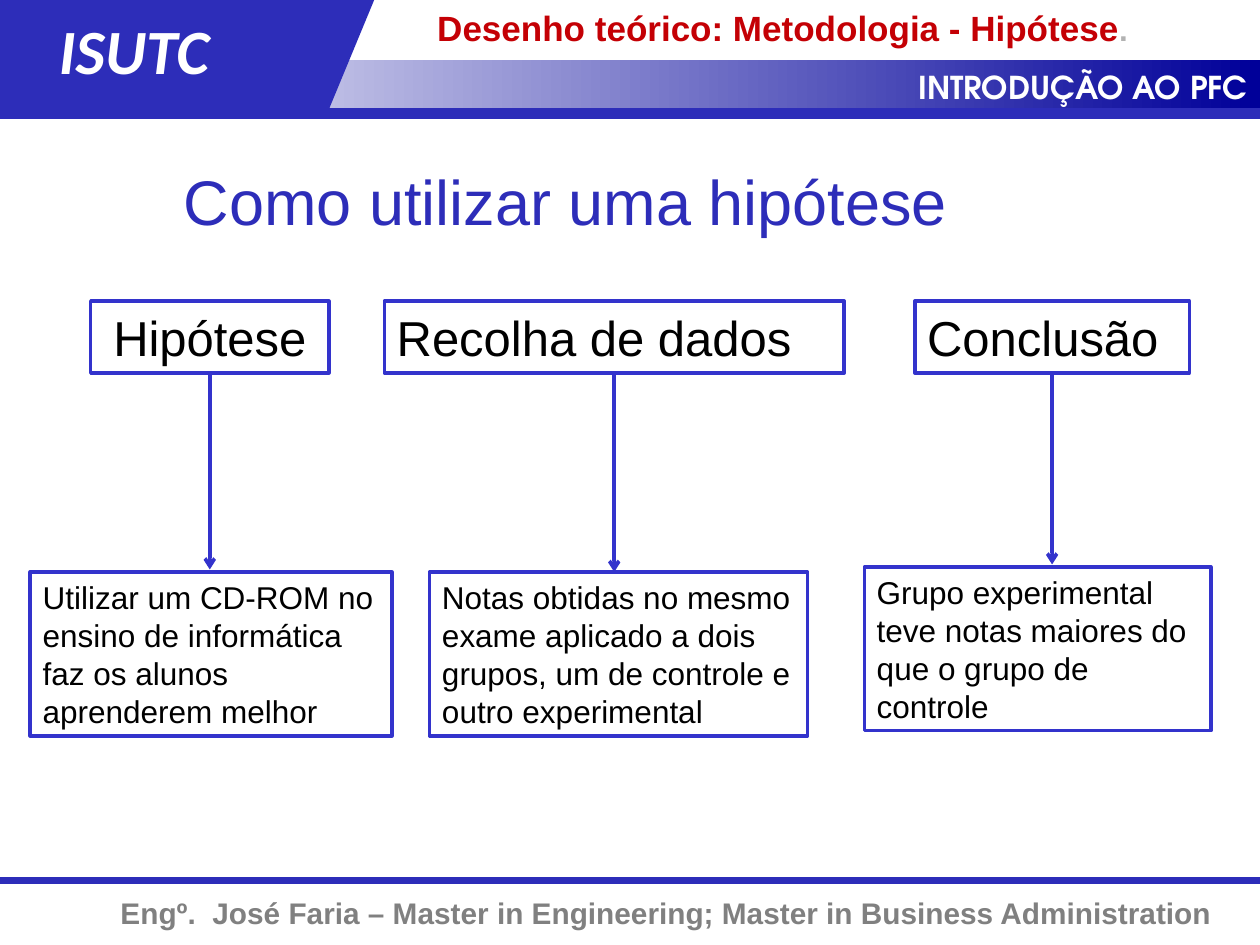
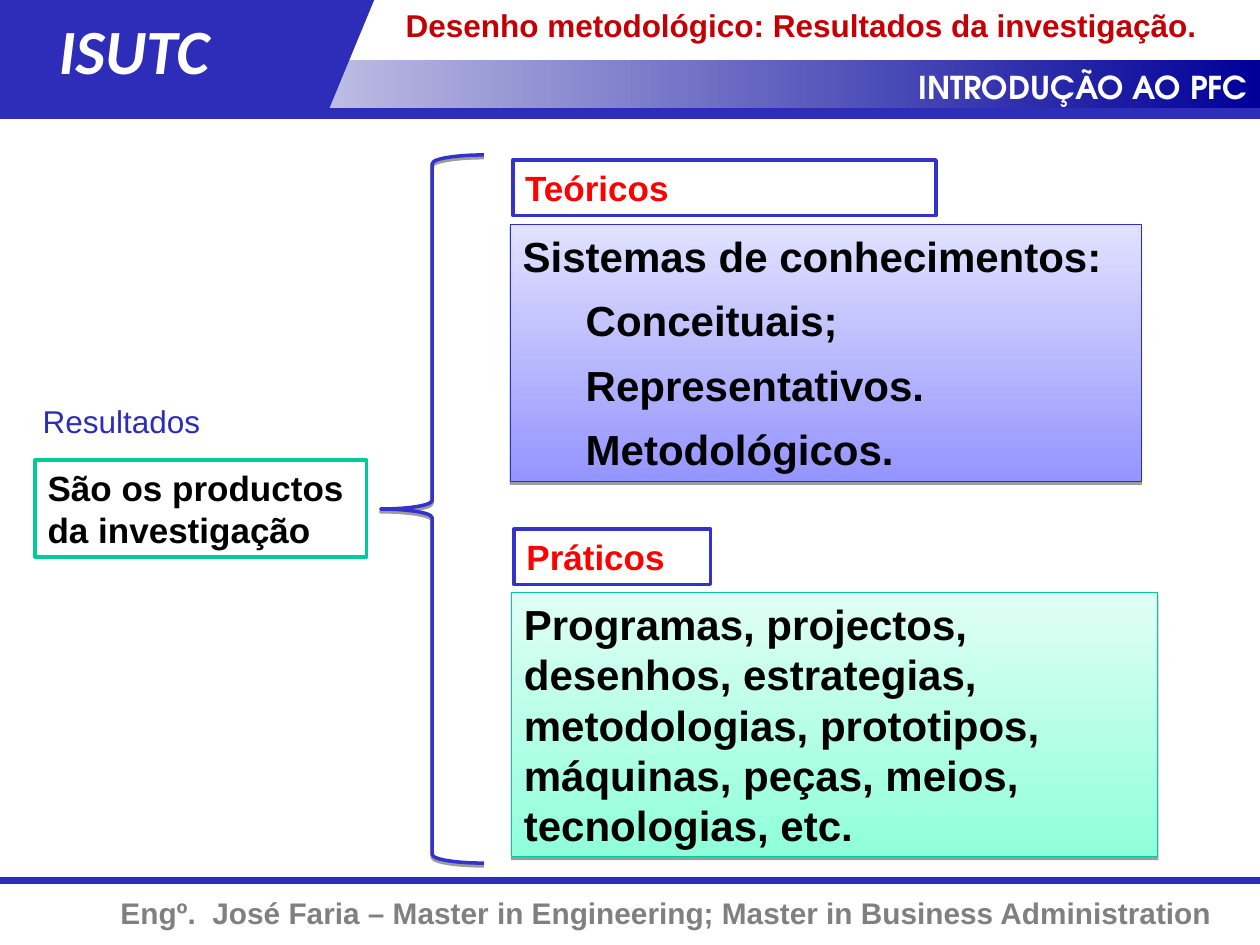
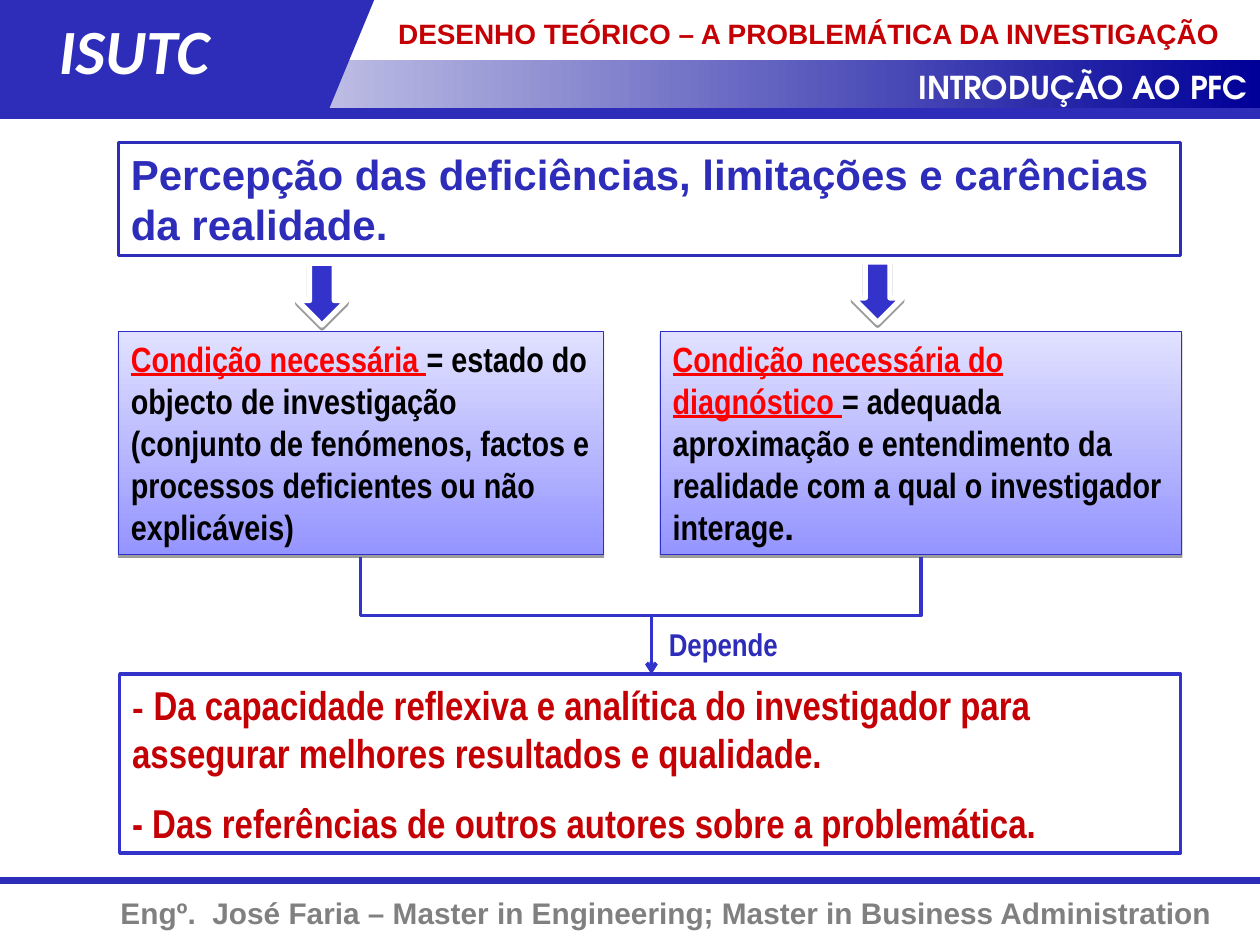
"""Build three slides on hypotheses, results and problems in research design."""
from lxml.etree import SubElement
from pptx import Presentation
from pptx.dml.color import RGBColor
from pptx.enum.shapes import MSO_CONNECTOR, MSO_SHAPE
from pptx.enum.text import MSO_ANCHOR, MSO_AUTO_SIZE, PP_ALIGN
from pptx.oxml.ns import qn
from pptx.util import Inches, Pt

BLUE = RGBColor(0x2D, 0x2D, 0xB9)
OUTLINE = RGBColor(0x33, 0x33, 0xCC)
EDGE = RGBColor(0x2E, 0x2E, 0xCB)
NAVY = RGBColor(0x00, 0x00, 0x99)
GREEN = RGBColor(0x00, 0xCC, 0x99)
RED = RGBColor(0xFF, 0x00, 0x00)
CRIMSON = RGBColor(0xC4, 0x00, 0x05)
BLACK = RGBColor(0x00, 0x00, 0x00)
WHITE = RGBColor(0xFF, 0xFF, 0xFF)
GREY = RGBColor(0x80, 0x80, 0x80)
SILVER = RGBColor(0xB2, 0xB2, 0xB2)
LILAC = (RGBColor(0xE1, 0xE1, 0xFF), RGBColor(0x95, 0x95, 0xFF))
MINT = (RGBColor(0xE0, 0xFF, 0xF4), RGBColor(0x90, 0xFF, 0xDA))


def add_shape(slide, kind, frame, fill=WHITE, line=None, width=2, angle=270):
    """Add a preset shape; a pair of colours as fill makes a gradient."""
    shape = slide.shapes.add_shape(kind, *map(Inches, frame))
    shape.shadow.inherit = False
    if fill is None:
        shape.fill.background()
    elif isinstance(fill, RGBColor):
        shape.fill.solid()
        shape.fill.fore_color.rgb = fill
    else:
        shape.fill.gradient()
        shape.fill.gradient_angle = angle
        for stop, color in zip(shape.fill.gradient_stops, fill):
            stop.color.rgb = color
    if line is None:
        shape.line.fill.background()
    else:
        shape.line.color.rgb = line
        shape.line.width = Pt(width)
    return shape


def write(shape, runs, size, color, bold=False, font="Arial", align=PP_ALIGN.LEFT):
    """Fill a shape with one paragraph; further runs are (text, size, colour, font)."""
    text_frame = shape.text_frame
    text_frame.word_wrap = True
    text_frame.auto_size = MSO_AUTO_SIZE.NONE
    text_frame.vertical_anchor = MSO_ANCHOR.TOP
    first, *others = [runs] if isinstance(runs, str) else runs
    text_frame.text = first
    for text, *_ in others:
        text_frame.paragraphs[0].add_run().text = text
    for paragraph in text_frame.paragraphs:
        paragraph.alignment = align
        formats = [(size, color, font)] + [other[1:] for other in others]
        for run, (run_size, run_color, run_font) in zip(paragraph.runs, formats):
            run.font.size = Pt(run_size)
            run.font.color.rgb = run_color
            run.font.name = run_font
            run.font.bold = bold
    return text_frame


presentation = Presentation()
presentation.slide_width = Inches(10)
presentation.slide_height = Inches(7.5)
layout = presentation.slide_layouts[5]
for placeholder in list(layout.placeholders)[1:]:
    placeholder.element.getparent().remove(placeholder.element)

TITLES = [
    (["Desenho teórico: Metodologia - Hipótese", (".", 18, SILVER, "Arial")],
     (3.37, 0, 6.63, 0.44), 20),
    ("Desenho metodológico: Resultados da investigação.", (3.12, 0, 6.88, 0.4), 18),
    ("DESENHO TEÓRICO – A PROBLEMÁTICA DA INVESTIGAÇÃO", (3.06, 0.08, 6.94, 0.48), 16),
]
for runs, frame, size in TITLES:
    slide = presentation.slides.add_slide(layout)
    title = slide.shapes.title
    title.left, title.top, title.width, title.height = map(Inches, frame)
    write(title, runs, size, CRIMSON, bold=True)
hypothesis, results, problem = presentation.slides

connectors = []
shared = [
    add_shape(hypothesis, MSO_SHAPE.RECTANGLE, (0, 0.48, 10, 0.39), (WHITE, NAVY), angle=0),
    add_shape(hypothesis, MSO_SHAPE.FLOWCHART_DATA, (1.17, 0, 1.8, 0.87), BLUE),
    add_shape(hypothesis, MSO_SHAPE.RECTANGLE, (0, 0, 1.59, 0.87), BLUE),
]
for y, width in [(0.9, 6), (6.99, 4)]:
    rule = hypothesis.shapes.add_connector(
        MSO_CONNECTOR.STRAIGHT, 0, Inches(y), Inches(10), Inches(y))
    connectors.append((rule, BLUE, width, False))
    shared.append(rule)
for text, frame, size, color, font, align in [
    ("Engº.  José Faria – Master in Engineering; Master in Business Administration",
     (0, 7.05, 9.72, 0.39), 17, GREY, "Arial", PP_ALIGN.RIGHT),
    ("INTRODUÇÃO AO PFC", (4.36, 0.49, 5.64, 0.4), 18, WHITE, "TeX Gyre Adventor",
     PP_ALIGN.RIGHT),
    ("ISUTC", (0.37, 0.04, 1.93, 0.7), 36, WHITE, "Calibri", PP_ALIGN.LEFT),
]:
    label = hypothesis.shapes.add_textbox(*map(Inches, frame))
    write(label, text, size, color, True, font, align)
    shared.append(label)
label.text_frame.paragraphs[0].runs[0].font.italic = True
for shape in shared:
    layout.shapes.element.append(shape.element)

heading = hypothesis.shapes.add_textbox(*map(Inches, (1.36, 1.24, 6.26, 0.7)))
write(heading, "Como utilizar uma hipótese", 36, BLUE).word_wrap = False
STEPS = [
    ("Hipótese", 0.72, 1.89, PP_ALIGN.CENTER, 4.52,
     "Utilizar um CD-ROM no ensino de informática faz os alunos aprenderem melhor",
     (0.24, 4.54, 2.87, 1.3)),
    ("Recolha de dados", 3.05, 3.65, PP_ALIGN.LEFT, 4.54,
     "Notas obtidas no mesmo exame aplicado a dois grupos, um de controle e outro experimental",
     (3.41, 4.54, 3, 1.3)),
    ("Conclusão", 7.26, 2.18, PP_ALIGN.LEFT, 4.48,
     "Grupo experimental teve notas maiores do que o grupo de controle",
     (6.86, 4.5, 2.75, 1.3)),
]
for name, left, width, align, arrow_end, example, example_frame in STEPS:
    step = add_shape(hypothesis, MSO_SHAPE.RECTANGLE, (left, 2.39, width, 0.57), line=OUTLINE)
    write(step, name, 28, BLACK, align=align)
    example_box = add_shape(hypothesis, MSO_SHAPE.RECTANGLE, example_frame, line=OUTLINE)
    write(example_box, example, 18, BLACK)
    center = Inches(left + width / 2)
    arrow = hypothesis.shapes.add_connector(
        MSO_CONNECTOR.STRAIGHT, center, Inches(2.96), center, Inches(arrow_end))
    arrow.begin_connect(step, 2)
    connectors.append((arrow, OUTLINE, 2, True))

knowledge = add_shape(results, MSO_SHAPE.RECTANGLE, (4.05, 1.78, 5.01, 2.04), LILAC, EDGE, 0.75)
write(knowledge, "Sistemas de conhecimentos:\nConceituais;\nRepresentativos.\nMetodológicos.",
      24, BLACK, True)
for paragraph in knowledge.text_frame.paragraphs[1:]:
    paragraph.space_before = Pt(8)
    paragraph._p.get_or_add_pPr().set("marL", str(Inches(0.5)))
products = add_shape(results, MSO_SHAPE.RECTANGLE, (4.06, 4.7, 5.13, 2.1), MINT, GREEN, 0.75)
write(products, "Programas, projectos, desenhos, estrategias, metodologias, prototipos, "
      "máquinas, peças, meios, tecnologias, etc.", 24, BLACK, True)
for text, frame, color, line in [
    ("Práticos", (4.08, 4.2, 1.56, 0.44), RED, OUTLINE),
    ("Teóricos", (4.07, 1.27, 3.36, 0.44), RED, OUTLINE),
    ("São os productos da investigação", (0.28, 3.65, 2.63, 0.77), BLACK, GREEN),
]:
    box = add_shape(results, MSO_SHAPE.RECTANGLE, frame, line=line)
    write(box, text, 20, color, True)
results_label = results.shapes.add_textbox(*map(Inches, (0.24, 3.14, 1.68, 0.4)))
write(results_label, "Resultados", 18, BLUE)
brace = add_shape(results, MSO_SHAPE.LEFT_BRACE, (3.02, 1.23, 0.82, 5.62), None, OUTLINE)
shadowed = [knowledge, products, brace]

perception = add_shape(problem, MSO_SHAPE.RECTANGLE, (0.94, 1.13, 8.43, 0.9), line=BLUE)
write(perception, "Percepção das deficiências, limitações e carências da realidade.",
      24, BLUE, True)
dependence = add_shape(problem, MSO_SHAPE.RECTANGLE, (0.95, 5.35, 8.42, 1.42), line=OUTLINE)
text_frame = write(dependence, [
    "- ", ("Da capacidade reflexiva e analítica do investigador para assegurar melhores "
           "resultados e qualidade.", 23, CRIMSON, "Arial Narrow")], 20, CRIMSON, True)
paragraph = text_frame.add_paragraph()
paragraph.text = "- Das referências de outros autores sobre a problemática."
paragraph.space_before = Pt(12)
paragraph.font.size = Pt(23)
paragraph.font.name = "Arial Narrow"
paragraph.font.bold = True
paragraph.font.color.rgb = CRIMSON
for frame, runs in [
    ((0.94, 2.63, 3.85, 1.77),
     ["Condição necessária ",
      ("= estado do objecto de investigação (conjunto de fenómenos, factos e processos "
       "deficientes ou não explicáveis)", 20, BLACK, "Arial Narrow")]),
    ((5.24, 2.63, 4.14, 1.77),
     ["Condição necessária do diagnóstico ",
      ("= adequada aproximação e entendimento da realidade com a qual o investigador "
       "interage", 20, BLACK, "Arial Narrow"), (".", 20, BLACK, "Arial")]),
]:
    condition = add_shape(problem, MSO_SHAPE.RECTANGLE, frame, LILAC, EDGE, 0.75)
    text_frame = write(condition, runs, 20, RED, True, "Arial Narrow")
    text_frame.paragraphs[0].runs[0].font.underline = True
    shadowed.append(condition)
depends = problem.shapes.add_textbox(*map(Inches, (5.21, 4.91, 1.7, 0.4)))
write(depends, "Depende", 18, BLUE, True, "Arial Narrow")
for frame in [(2.36, 2.09, 0.39, 0.49), (6.77, 2.08, 0.39, 0.48)]:
    shadowed.append(add_shape(problem, MSO_SHAPE.DOWN_ARROW, frame, OUTLINE, WHITE, 3))

JOIN_X, START_Y, JOIN_Y = 5.17, 4.42, 5.35
for start_x, side in [(2.86, -1), (7.31, 1)]:
    middle_x, middle_y = (start_x + JOIN_X) / 2, (START_Y + JOIN_Y) / 2
    half_drop = side * (JOIN_Y - START_Y) / 2
    half_span = abs(JOIN_X - start_x) / 2
    elbow = problem.shapes.add_connector(
        MSO_CONNECTOR.ELBOW,
        Inches(middle_x - half_drop), Inches(middle_y - half_span),
        Inches(middle_x + half_drop), Inches(middle_y + half_span))
    elbow.rotation = 90 * side % 360
    connectors.append((elbow, OUTLINE, 2, True))

for connector, color, width, has_arrow in connectors:
    connector.line.color.rgb = color
    connector.line.width = Pt(width)
    if has_arrow:
        SubElement(connector.line._get_or_add_ln(), qn("a:tailEnd"), type="arrow")
    SubElement(connector.element.spPr, qn("a:effectLst"))
for shape in shadowed:
    effects = shape.element.spPr.find(qn("a:effectLst"))
    shadow = SubElement(effects, qn("a:outerShdw"), blurRad="0", dist=str(Pt(1.6)),
                        dir="5400000", rotWithShape="0")
    color = SubElement(shadow, qn("a:srgbClr"), val="000000")
    SubElement(color, qn("a:alpha"), val="38000")

presentation.save("out.pptx")
